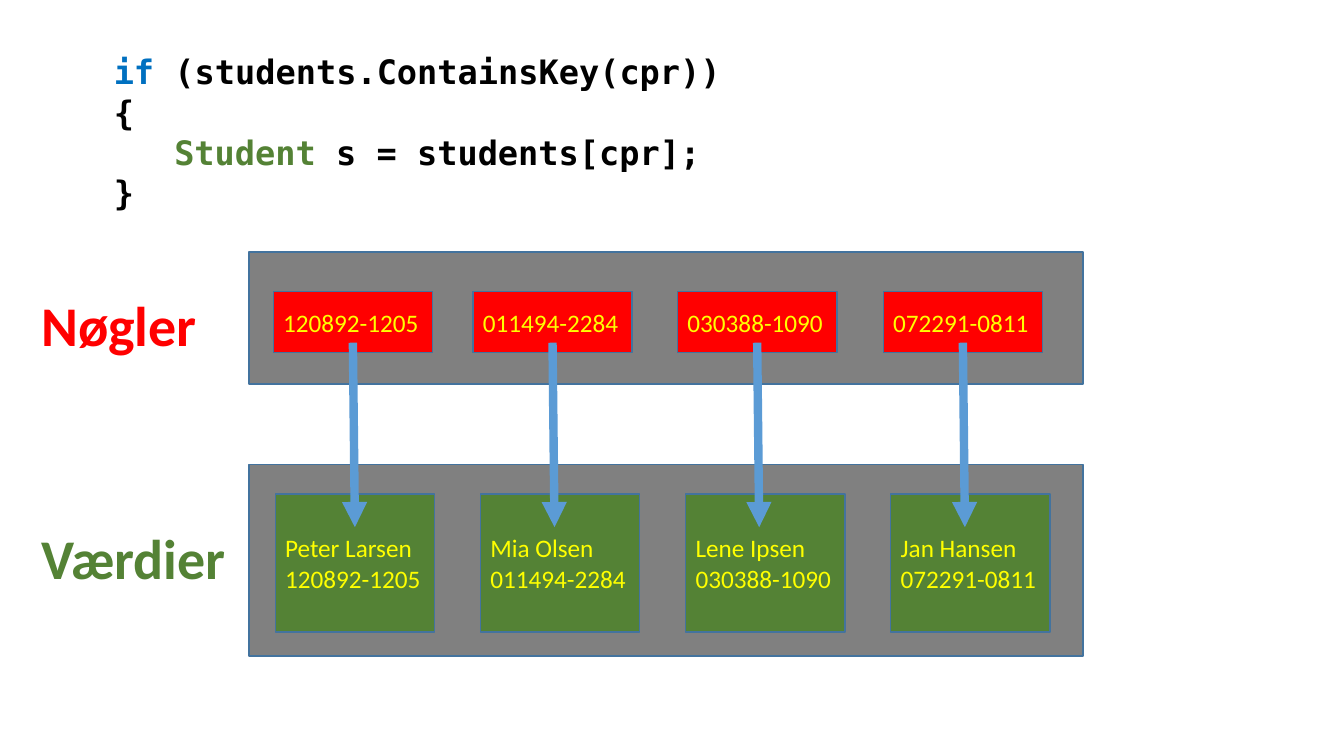
from lxml import etree
from pptx import Presentation
from pptx import util as u
from pptx.dml.color import RGBColor
from pptx.enum import shapes, text
from pptx.oxml.ns import qn

COLORS = {"key": "FF0000", "value": "548235", "panel": "808080",
          "edge": "43739E", "arrow": "5B9BD5", "entry": "FFFF00",
          "keyword": "0070C0", "type": "548235", "code": "000000"}
STUDENTS = [("120892-1205", "Peter Larsen"), ("011494-2284", "Mia Olsen"),
            ("030388-1090", "Lene Ipsen"), ("072291-0811", "Jan Hansen")]
# Each code line: indent in characters, then (text, colour) runs
CODE = [(0, [("if ", "keyword"), ("(students.ContainsKey(cpr))", "code")]),
        (0, [("{", "code")]),
        (3, [("Student ", "type"), ("s = students[cpr];", "code")]),
        (0, [("}", "code")])]
LABELS = [("Nøgler", "key", 2.7), ("Værdier", "value", 5.01)]

PANEL_LEFT, PANEL_W = 2.47, 8.27
BOX_W = 1.58
KEY_LEFTS = [2.71, 4.69, 6.72, 8.76]
VALUE_LEFT, VALUE_PITCH = 2.73, 2.035
ARROW_TOP, ARROW_BOTTOM, ARROW_LEAN = 3.4, 5.23, 0.02
CODE_SIZE, CHAR_W = 24, 0.2


def rgb(name):
    """Return the named colour."""
    return RGBColor.from_string(COLORS[name])


def style(p, size, color=None, bold=False, face="Calibri"):
    """Set the font of a whole paragraph."""
    p.alignment = text.PP_ALIGN.LEFT
    p.font.name, p.font.size, p.font.bold = face, u.Pt(size), bold
    if color:
        p.font.color.rgb = rgb(color)


def box(s, left, top, width, height, fill, lines=()):
    """Draw an outlined rectangle holding lines of entry text."""
    sp = s.shapes.add_shape(shapes.MSO_SHAPE.RECTANGLE,
                            *map(u.Inches, (left, top, width, height)))
    sp.shadow.inherit = False
    sp.fill.solid()
    sp.fill.fore_color.rgb = rgb(fill)
    sp.line.color.rgb = rgb("edge")
    sp.line.width = u.Pt(1)
    tf = sp.text_frame
    tf.vertical_anchor = text.MSO_ANCHOR.MIDDLE
    for i, line in enumerate(lines):
        p = tf.add_paragraph() if i else tf.paragraphs[0]
        p.text = line
        style(p, 18, "entry")


def arrow(s, x1, y1, x2, y2):
    """Draw a thick arrow from a key to its value."""
    cx = s.shapes.add_connector(shapes.MSO_CONNECTOR.STRAIGHT,
                                *map(u.Inches, (x1, y1, x2, y2)))
    cx.line.color.rgb = rgb("arrow")
    cx.line.width = u.Pt(6)
    etree.SubElement(cx.line._get_or_add_ln(), qn("a:tailEnd"), type="triangle")
    etree.SubElement(cx._element.spPr, qn("a:effectLst"))


def text_box(s, left, top, width, height):
    """Add a wrapping text box and return its text frame."""
    tf = s.shapes.add_textbox(*map(u.Inches, (left, top, width, height))).text_frame
    tf.word_wrap = True
    return tf


prs = Presentation()
prs.slide_width, prs.slide_height = u.Inches(13.33), u.Inches(7.5)
s = prs.slides.add_slide(prs.slide_layouts[6])

box(s, PANEL_LEFT, 4.61, PANEL_W, 1.9, "panel")
for i, (cpr, name) in enumerate(STUDENTS):
    box(s, VALUE_LEFT + i * VALUE_PITCH, 4.9, BOX_W, 1.37, "value", [name, cpr])

box(s, PANEL_LEFT, 2.5, PANEL_W, 1.31, "panel")
for left, (cpr, name) in zip(KEY_LEFTS, STUDENTS):
    box(s, left, 2.89, BOX_W, 0.61, "key", [cpr])
for left in KEY_LEFTS:
    x = left + BOX_W / 2
    arrow(s, x, ARROW_TOP, x + ARROW_LEAN, ARROW_BOTTOM)

for label, color, top in LABELS:
    tf = text_box(s, 0.31, top, 2.09, 1.11)
    tf.vertical_anchor = text.MSO_ANCHOR.MIDDLE
    p = tf.paragraphs[0]
    p.text = label
    p.line_spacing = 0.9
    style(p, 40, color, bold=True)

tf = text_box(s, 1.03, 0.46, 6.25, 1.72)
for i, (indent, runs) in enumerate(CODE):
    p = tf.add_paragraph() if i else tf.paragraphs[0]
    style(p, CODE_SIZE, bold=True, face="DejaVu Sans Mono")
    p._p.get_or_add_pPr().set("marL", str(u.Inches(indent * CHAR_W)))
    for words, color in runs:
        r = p.add_run()
        r.text = words
        r.font.color.rgb = rgb(color)

prs.save("out.pptx")
